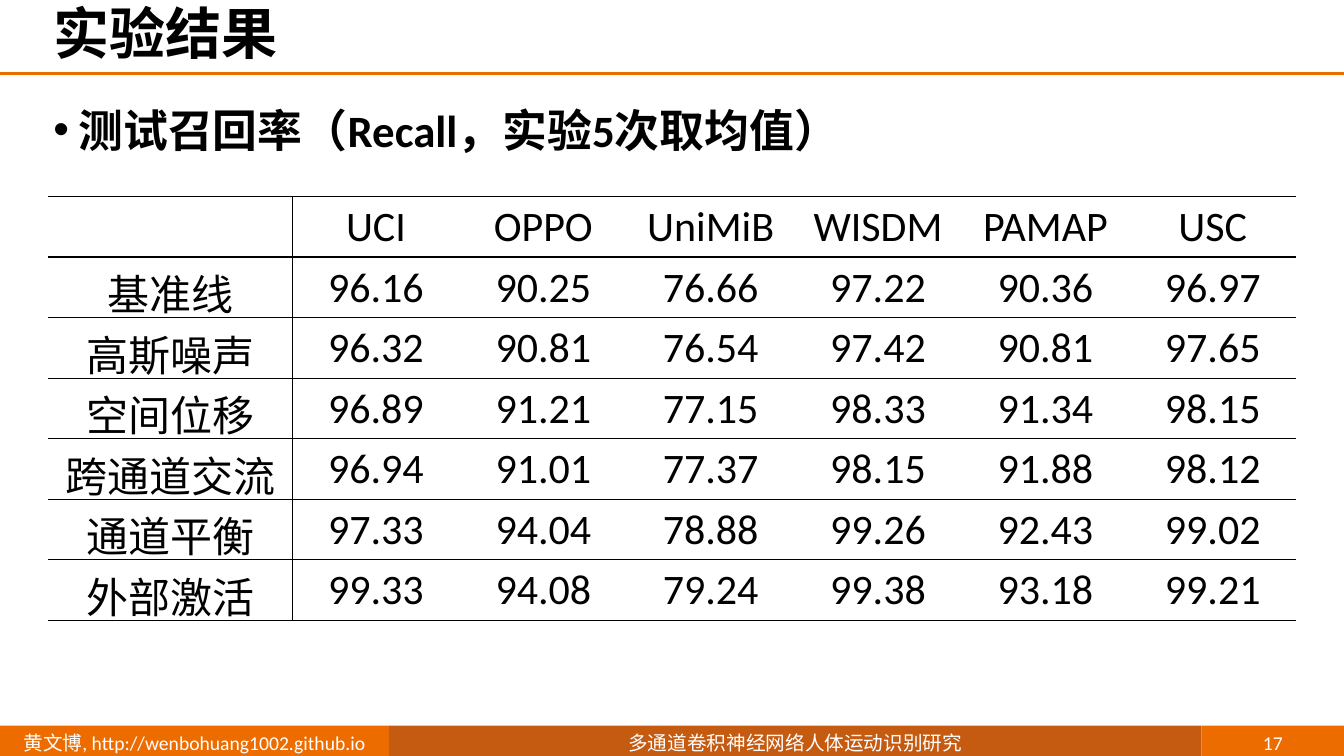
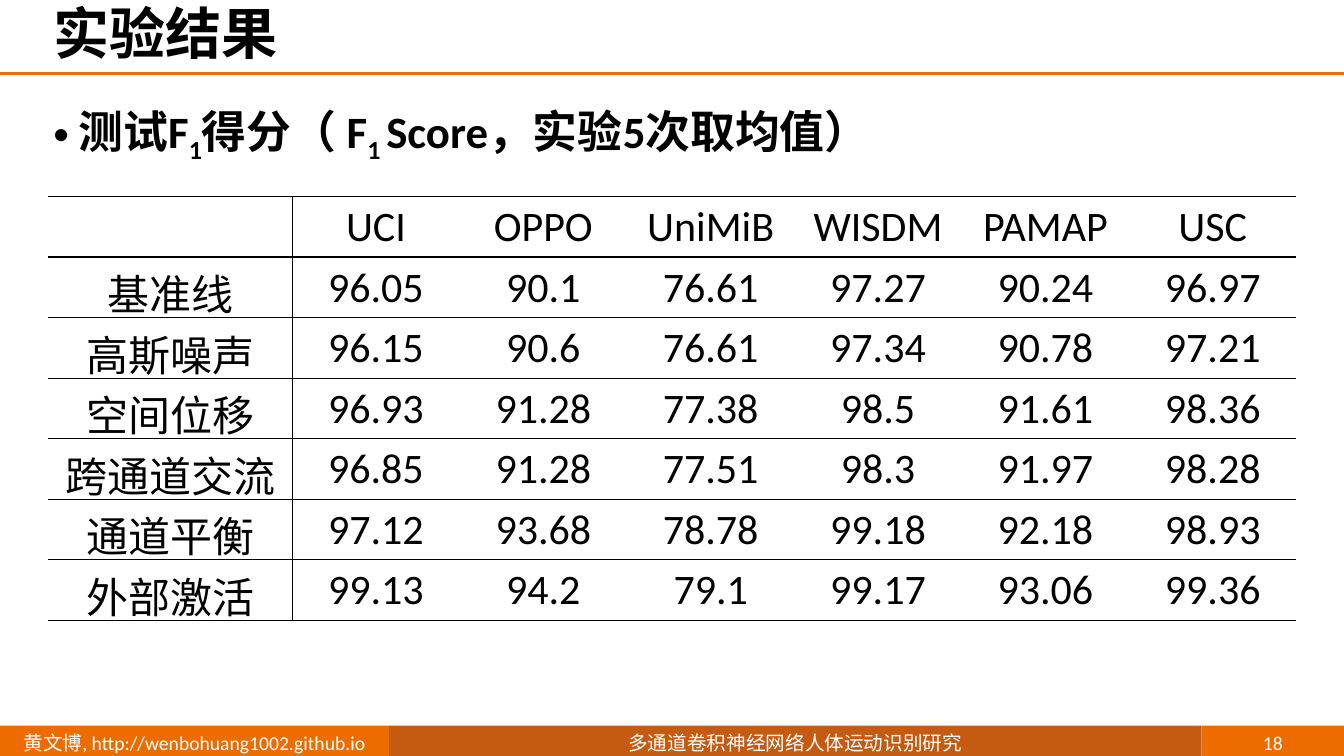
from dataclasses import dataclass
from typing import Any

from lxml import etree
from pptx import Presentation
from pptx.dml.color import RGBColor
from pptx.enum.shapes import MSO_CONNECTOR, MSO_SHAPE
from pptx.enum.text import MSO_ANCHOR, PP_ALIGN
from pptx.oxml.ns import qn
from pptx.util import Inches, Pt

MIDDLE, TOP = MSO_ANCHOR.MIDDLE, MSO_ANCHOR.TOP
CENTER, LEFT = PP_ALIGN.CENTER, PP_ALIGN.LEFT
RECT, LINE = MSO_SHAPE.RECTANGLE, MSO_CONNECTOR.STRAIGHT


@dataclass(frozen=True)
class Theme:
    font: str = "Calibri"
    accent: str = "ED6C00"
    dark: str = "C55A11"
    ink: str = "000000"
    paper: str = "FFFFFF"
    title: int = 40
    body: int = 32
    cell: int = 30
    foot: int = 14
    rule: int = 2
    edge: int = 1


@dataclass(frozen=True)
class Bar:
    left: float
    width: float
    color: str
    text: str


@dataclass(frozen=True)
class Part:
    text: str
    sub: bool = False


@dataclass(frozen=True)
class Page:
    number: int
    lead: list[Part]
    rows: list[list[float]]


THEME = Theme()
WIDTH, HEIGHT = 13.33, 7.5
RULE_Y = 0.73
MARGIN = 0.43
FOOT_Y, FOOT_H = 7.2, 0.34
TABLE_X, TABLE_Y = 0.48, 1.95
LABEL_W, DATA_W, ROW_H = 2.42, 1.66, 0.6

TITLE = "实验结果"
HEADS = ["UCI", "OPPO", "UniMiB", "WISDM", "PAMAP", "USC"]
LABELS = ["基准线", "高斯噪声", "空间位移", "跨通道交流", "通道平衡", "外部激活"]
BARS = [
    Bar(0, 3.86, THEME.accent, "黄文博, http://wenbohuang1002.github.io"),
    Bar(3.86, 8.06, THEME.dark, "多通道卷积神经网络人体运动识别研究"),
    Bar(11.92, 1.41, THEME.accent, "{number}"),
]
PAGES = [
    Page(17, [Part("测试召回率（Recall，实验5次取均值）")], [
        [96.16, 90.25, 76.66, 97.22, 90.36, 96.97],
        [96.32, 90.81, 76.54, 97.42, 90.81, 97.65],
        [96.89, 91.21, 77.15, 98.33, 91.34, 98.15],
        [96.94, 91.01, 77.37, 98.15, 91.88, 98.12],
        [97.33, 94.04, 78.88, 99.26, 92.43, 99.02],
        [99.33, 94.08, 79.24, 99.38, 93.18, 99.21],
    ]),
    Page(18, [Part("测试F"), Part("1", True), Part("得分（ F"), Part("1 ", True),
              Part("Score，实验5次取均值）")], [
        [96.05, 90.1, 76.61, 97.27, 90.24, 96.97],
        [96.15, 90.6, 76.61, 97.34, 90.78, 97.21],
        [96.93, 91.28, 77.38, 98.5, 91.61, 98.36],
        [96.85, 91.28, 77.51, 98.3, 91.97, 98.28],
        [97.12, 93.68, 78.78, 99.18, 92.18, 98.93],
        [99.13, 94.2, 79.1, 99.17, 93.06, 99.36],
    ]),
]


def apply(item: Any, values: dict[str, Any]) -> None:
    for name, value in values.items():
        setattr(item, name, value)


def write(para: Any, parts: list[Part], size: int, color: str, bold: bool = False) -> None:
    """Fill a paragraph with runs in one style."""
    for part in parts:
        run = para.add_run()
        run.text = part.text
        apply(run.font, {"name": THEME.font, "size": Pt(size), "bold": bold})
        run.font.color.rgb = RGBColor.from_string(color)
        if part.sub:
            run.font._element.set("baseline", "-25000")


def add_box(slide: Any, top: float, width: float, height: float, anchor: Any) -> Any:
    """Add a text box at the left margin and return its first paragraph."""
    box = slide.shapes.add_textbox(*map(Inches, (MARGIN, top, width, height)))
    apply(box.text_frame, {"word_wrap": True, "vertical_anchor": anchor})
    para = box.text_frame.paragraphs[0]
    para.alignment = LEFT
    return para


def add_frame(slide: Any, number: int) -> None:
    """Draw the title, its rule and the footer bars."""
    for bar in BARS:
        shape = slide.shapes.add_shape(
            RECT, *map(Inches, (bar.left, FOOT_Y, bar.width, FOOT_H)))
        shape.shadow.inherit = False
        shape.fill.solid()
        shape.fill.fore_color.rgb = RGBColor.from_string(bar.color)
        shape.line.fill.background()
        apply(shape.text_frame, {"word_wrap": True, "vertical_anchor": MIDDLE})
        para = shape.text_frame.paragraphs[0]
        para.alignment = CENTER
        write(para, [Part(bar.text.format(number=number))], THEME.foot, THEME.paper)

    rule = slide.shapes.add_connector(LINE, *map(Inches, (0, RULE_Y, WIDTH, RULE_Y)))
    rule.line.color.rgb = RGBColor.from_string(THEME.accent)
    rule.line.width = Pt(THEME.rule)
    etree.SubElement(rule._element.spPr, qn("a:effectLst"))

    para = add_box(slide, 0, WIDTH - MARGIN, RULE_Y, MIDDLE)
    para.line_spacing = 0.9
    write(para, [Part(TITLE)], THEME.title, THEME.ink, True)


def add_lead(slide: Any, parts: list[Part]) -> None:
    """Add the bulleted line above the table."""
    para = add_box(slide, 0.86, 12.42, 1, TOP)
    para.line_spacing = 1.2
    props = para._p.get_or_add_pPr()
    indent = Inches(0.25)
    props.set("marL", str(indent))
    props.set("indent", str(-indent))
    etree.SubElement(props, qn("a:buFont"), typeface="Arial")
    etree.SubElement(props, qn("a:buChar"), char="•")
    write(para, parts, THEME.body, THEME.ink, True)


def set_edges(cell: Any, shown: str) -> None:
    """Draw the named sides of a cell and clear the others."""
    props = cell._tc.get_or_add_tcPr()
    for side in "LRTB":
        line = etree.SubElement(props, qn(f"a:ln{side}"), w=str(Pt(THEME.edge)))
        if side in shown:
            fill = etree.SubElement(line, qn("a:solidFill"))
            etree.SubElement(fill, qn("a:srgbClr"), val=THEME.ink)
        else:
            etree.SubElement(line, qn("a:noFill"))


def add_grid(slide: Any, rows: list[list[float]]) -> None:
    """Add the table of results."""
    texts = [["", *HEADS]]
    texts += [[label, *(f"{value:g}" for value in row)]
              for label, row in zip(LABELS, rows)]
    widths = [LABEL_W] + [DATA_W] * len(HEADS)
    table = slide.shapes.add_table(
        len(texts), len(widths),
        *map(Inches, (TABLE_X, TABLE_Y, sum(widths), ROW_H * len(texts)))).table
    apply(table, {"first_row": False, "horz_banding": False})
    for col, width in zip(table.columns, widths):
        col.width = Inches(width)
    divider = {0: "R", 1: "L"}
    for y, row in enumerate(texts):
        table.rows[y].height = Inches(ROW_H)
        for x, text in enumerate(row):
            cell = table.cell(y, x)
            set_edges(cell, "TB" + divider.get(x, ""))
            cell.fill.background()
            cell.vertical_anchor = MIDDLE
            para = cell.text_frame.paragraphs[0]
            para.alignment = CENTER
            if text:
                write(para, [Part(text)], THEME.cell, THEME.ink)


def main() -> None:
    deck = Presentation()
    apply(deck, {"slide_width": Inches(WIDTH), "slide_height": Inches(HEIGHT)})
    blank = deck.slide_layouts[6]
    for page in PAGES:
        slide = deck.slides.add_slide(blank)
        add_frame(slide, page.number)
        add_lead(slide, page.lead)
        add_grid(slide, page.rows)
    deck.save("out.pptx")


if __name__ == "__main__":
    main()
